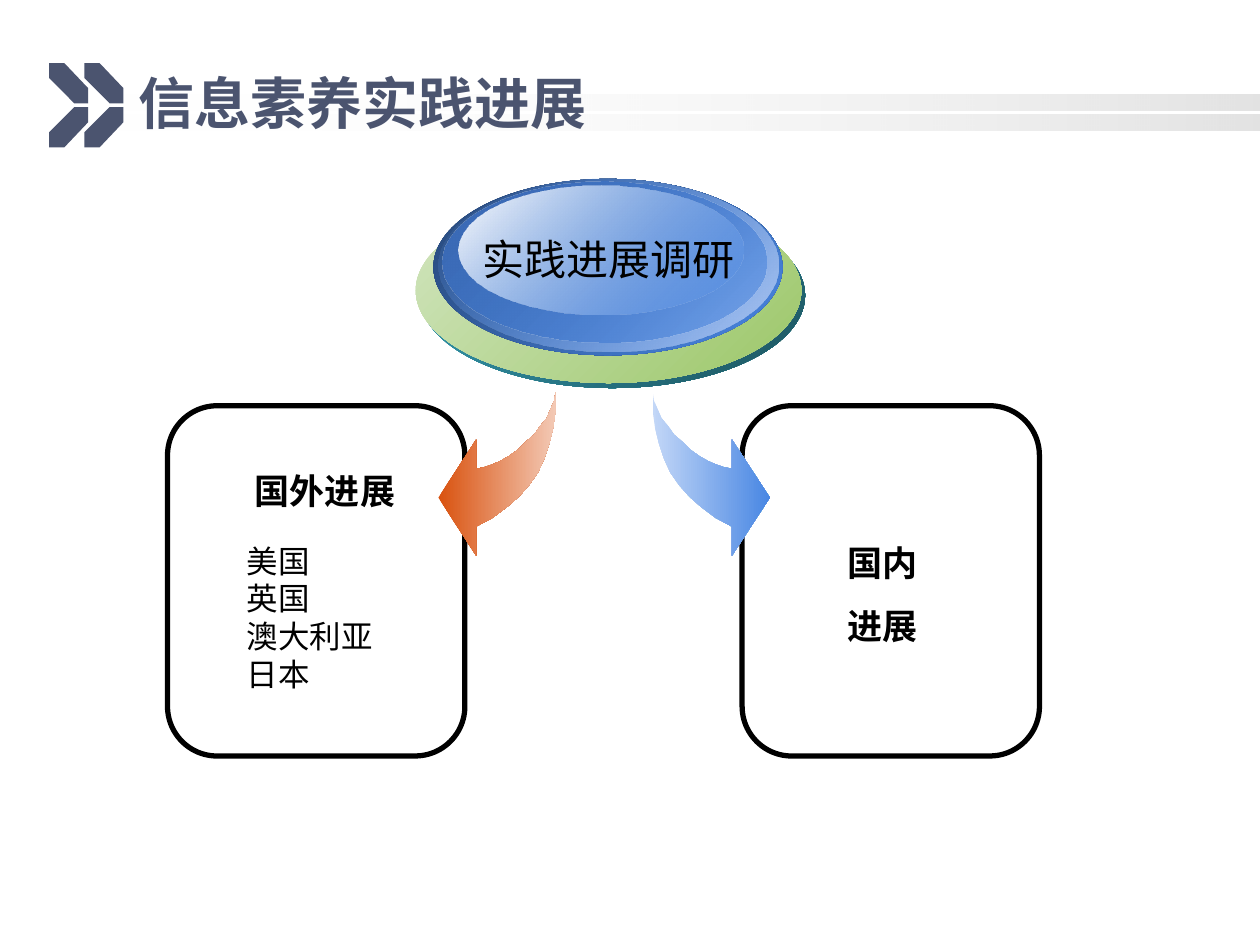
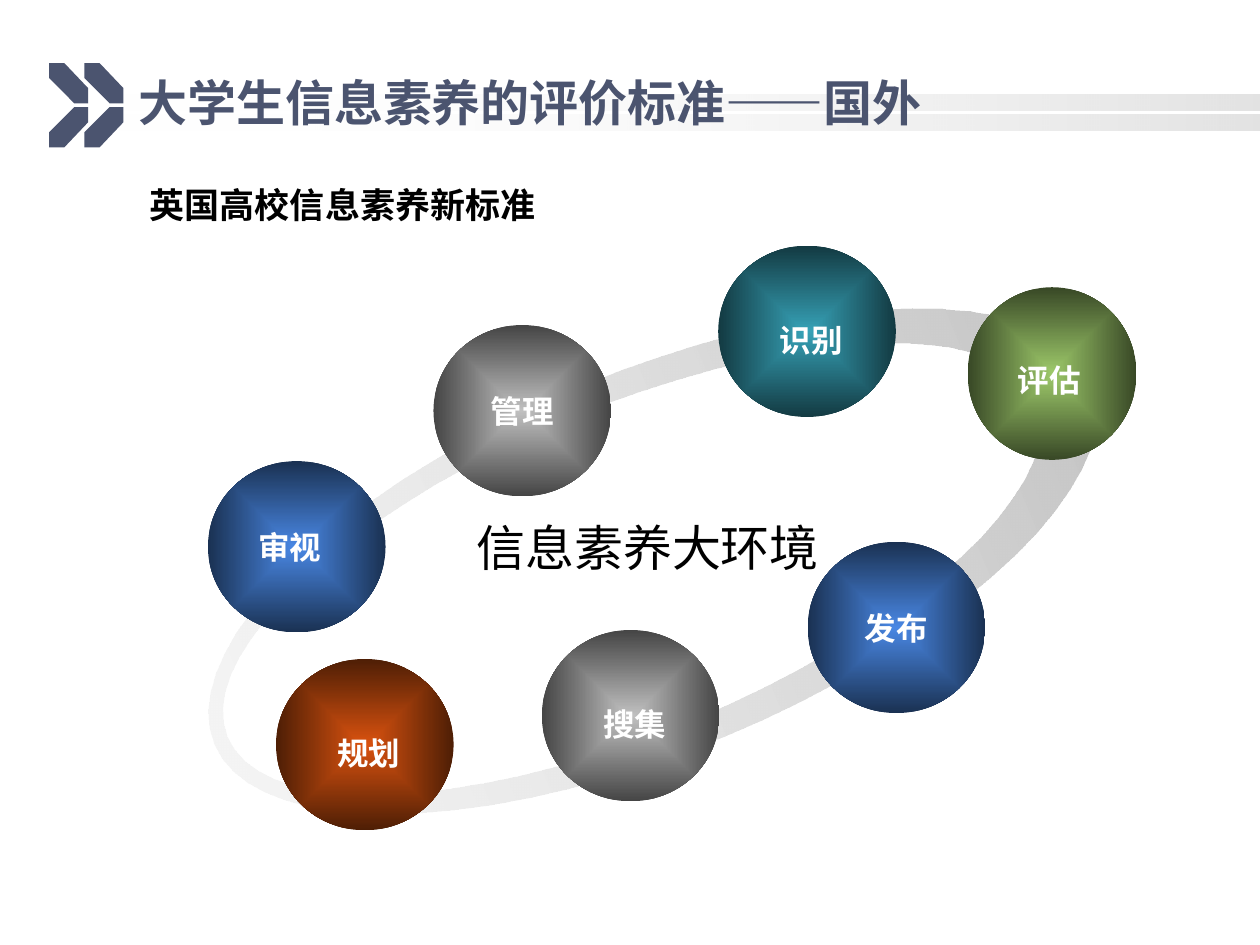
from math import cos, sin, tau

from lxml.etree import SubElement
from pptx import Presentation
from pptx.dml.color import RGBColor
from pptx.enum.shapes import MSO_SHAPE as Preset
from pptx.enum.text import MSO_ANCHOR as Anchor, PP_ALIGN as Align
from pptx.oxml.ns import qn
from pptx.util import Inches, Pt

FONT = "Noto Sans CJK SC"
NAVY, BLACK, WHITE = "4B546F", "000000", "FFFFFF"
BLUE, GREY, TEAL, ORANGE, GREEN = "4987E3", "C0C0C0", "36A1B6", "D9520F", "9CC769"


def paint(shape, *stops, angle=0):
    """One hex colour is solid; two (hex or (hex, opacity)) blend; angle None runs from the centre."""
    shape.shadow.inherit = False
    shape.line.fill.background()
    if len(stops) == 1:
        shape.fill.solid()
        shape.fill.fore_color.rgb = RGBColor.from_string(stops[0])
        return
    shape.fill.gradient()
    gradient = shape._element.spPr.find(qn("a:gradFill"))
    gradient.clear()
    gradient.set("rotWithShape", "1")
    stop_list = SubElement(gradient, qn("a:gsLst"))
    for position, stop in zip((0, 100000), stops):
        colour, opacity = (stop, 100) if isinstance(stop, str) else stop
        mark = SubElement(stop_list, qn("a:gs"), pos=str(position))
        tone = SubElement(mark, qn("a:srgbClr"), val=colour)
        SubElement(tone, qn("a:alpha"), val=str(opacity * 1000))
    if angle is None:
        centre = SubElement(gradient, qn("a:path"), path="shape")
        SubElement(centre, qn("a:fillToRect"), l="50000", t="50000", r="50000", b="50000")
    else:
        SubElement(gradient, qn("a:lin"), ang=str(angle * 60000), scaled="0")


def outline(slide, *contours):
    """Closed freeform from lists of points in inches."""
    builder = None
    for contour in contours:
        start, *rest = [(Inches(x), Inches(y)) for x, y in contour]
        if builder is None:
            builder = slide.shapes.build_freeform(*start)
        else:
            builder.move_to(*start)
        builder.add_line_segments(rest, close=True)
    return builder.convert_to_shape()


deck = Presentation()
deck.slide_width, deck.slide_height = Inches(10), Inches(7.5)
texts = []  # text frame, lines, formats

# Shared header: two bands, double chevron, title
chevron = [(0.39, 0.5), (0.39, 0.62), (0.59, 0.82), (0.7, 0.82), (0.7, 0.7), (0.51, 0.5)]
headings = [("信息素养实践进展", 32, "Arial"), ("大学生信息素养的评价标准——国外", 28, FONT)]
for heading, size, font in headings:
    slide = deck.slides.add_slide(deck.slide_layouts[6])
    for top in (0.75, 0.91):
        band = slide.shapes.add_shape(
            Preset.RECTANGLE, *map(Inches, (0.75, top, 9.25, 0.13)))
        paint(band, (WHITE, 0), ("969696", 27))
    for shift in (0, 0.28):
        upper = [(x + shift, y) for x, y in chevron]
        lower = [(x, 1.67 - y) for x, y in upper]
        for half in (upper, lower):
            paint(outline(slide, half), NAVY)
    title = slide.shapes.add_textbox(*map(Inches, (1, 0.5, 8.25, 0.62)))
    texts.append((title.text_frame, [heading], dict(
        size=size, bold=True, color=NAVY, latin=font, anchor=Anchor.MIDDLE)))
progress, standards = deck.slides

# Progress slide: two rounded panels
for left in (1.33, 5.89):
    panel = progress.shapes.add_shape(
        Preset.ROUNDED_RECTANGLE, *map(Inches, (left, 3.22, 2.36, 2.78)))
    panel.shadow.inherit = False
    panel.fill.background()
    panel.line.color.rgb = RGBColor.from_string(BLACK)
    panel.line.width = Pt(3)

# Curved arrows, the right one mirroring the left
arrow = [(4.41, 3.11), (4.41, 3.26), (4.39, 3.4), (4.36, 3.52), (4.32, 3.64), (4.27, 3.75),
         (4.2, 3.85), (4.12, 3.94), (4.03, 4.02), (3.91, 4.11), (3.78, 4.18), (3.78, 4.41),
         (3.48, 3.95), (3.78, 3.49), (3.78, 3.72), (3.84, 3.71), (3.9, 3.69), (3.97, 3.66),
         (4.04, 3.62), (4.11, 3.57), (4.17, 3.51), (4.24, 3.45), (4.29, 3.38), (4.34, 3.32),
         (4.37, 3.25), (4.4, 3.18)]
paint(outline(progress, arrow), ORANGE, "F3C9B5")
paint(outline(progress, [(9.59 - x, y) for x, y in arrow]), "C3D7F7", BLUE)

# Layered disc
layers = [
    ((3.33, 1.61, 3.06, 1.47), TEAL, "1D5560"),
    ((3.3, 1.57, 3.06, 1.47), "D2E5BF", GREEN),
    ((3.44, 1.42, 2.77, 1.4), "264677", BLUE),
    ((3.48, 1.42, 2.7, 1.37), (BLUE, 0), "B4CBF2"),
    ((3.51, 1.44, 2.57, 1.28), "3A69B4", (BLUE, 48)),
    ((3.64, 1.47, 2.26, 1.03), WHITE, (BLUE, 38)),
]
for box, light, dark in layers:
    disc = progress.shapes.add_shape(Preset.OVAL, *map(Inches, box))
    paint(disc, light, dark, angle=45)

# Progress slide wording
abroad = ["国外进展", "美国", "英国", "澳大利亚", "日本"]
wording = [
    (progress, (1.86, 3.68, 1.44, 1.89), abroad, dict(size=18, heading=True)),
    (progress, (3.72, 1.8, 2.22, 0.51), ["实践进展调研"],
     dict(size=24, align=Align.CENTER, wrap=False)),
    (progress, (6.63, 4.08, 2.23, 1.05), ["国内", "进展"],
     dict(size=20, bold=True, line_spacing=1.5)),
    (standards, (1.09, 1.41, 3.29, 0.44), ["英国高校信息素养新标准"],
     dict(size=20, bold=True, wrap=False)),
]

# Standards slide: tilted ring between two ellipses
turns = [tau * step / 72 for step in range(72)]
outer = [(5.18 + 3.77 * cos(t), 4.45 + 1.5 * sin(t)) for t in turns]
inner = [(5 + 3.47 * cos(t), 4.44 + 1.29 * sin(t)) for t in reversed(turns)]
ring = outline(standards, outer, inner)
paint(ring, ("E7E7E7", 36), GREY)
ring.rotation = -22.6

# Skill circles; a label without its own place is centred in the circle
edges = {BLUE: "1A3152", GREY: "454545", TEAL: "133A42", ORANGE: "4E1E05", GREEN: "384826"}
skills = [
    ("识别", TEAL, (5.7, 1.95, 1.41, 1.36), (6.09, 2.5)),
    ("审视", BLUE, (1.65, 3.66, 1.41, 1.36), (1.95, 4.14)),
    ("规划", ORANGE, (2.19, 5.23, 1.41, 1.36), (2.58, 5.78)),
    ("搜集", GREY, (4.3, 5, 1.41, 1.36), (4.69, 5.55)),
    ("评估", GREEN, (7.68, 2.28, 1.34, 1.37), (7.98, 2.82)),
    ("管理", GREY, (3.44, 2.58, 1.41, 1.36), None),
    ("发布", BLUE, (6.41, 4.3, 1.41, 1.36), None),
]
for skill, colour, box, place in skills:
    circle = standards.shapes.add_shape(Preset.OVAL, *map(Inches, box))
    paint(circle, colour, edges[colour], angle=None)
    look = dict(size=18, bold=True, color=WHITE, wrap=False)
    if place:
        wording.append((standards, (*place, 0.71, 0.4), [skill], look))
    else:
        centred = dict(look, align=Align.CENTER, anchor=Anchor.MIDDLE)
        texts.append((circle.text_frame, [skill], centred))
wording.append((standards, (3.59, 4.06, 3.1, 0.57), ["信息素养大环境"],
                dict(size=28, align=Align.CENTER)))

# Fill in all text
for slide, box, lines, look in wording:
    texts.append((slide.shapes.add_textbox(*map(Inches, box)).text_frame, lines, look))
for frame, lines, look in texts:
    frame.word_wrap = look.get("wrap", True)
    frame.vertical_anchor = look.get("anchor", Anchor.TOP)
    for index, line in enumerate(lines):
        paragraph = frame.add_paragraph() if index else frame.paragraphs[0]
        paragraph.alignment = look.get("align", Align.LEFT)
        paragraph.line_spacing = look.get("line_spacing")
        run = paragraph.add_run()
        run.text = line
        style = dict(size=Pt(look["size"]), bold=look.get("bold", False),
                     name=look.get("latin", FONT))
        if look.get("heading") and index == 0:
            paragraph.alignment = Align.CENTER
            paragraph.space_after = Pt(17)
            style.update(size=Pt(20), bold=True)
        for attribute, value in style.items():
            setattr(run.font, attribute, value)
        run.font.color.rgb = RGBColor.from_string(look.get("color", BLACK))
        SubElement(run.font._element, qn("a:ea"), typeface=FONT)

deck.save("out.pptx")
